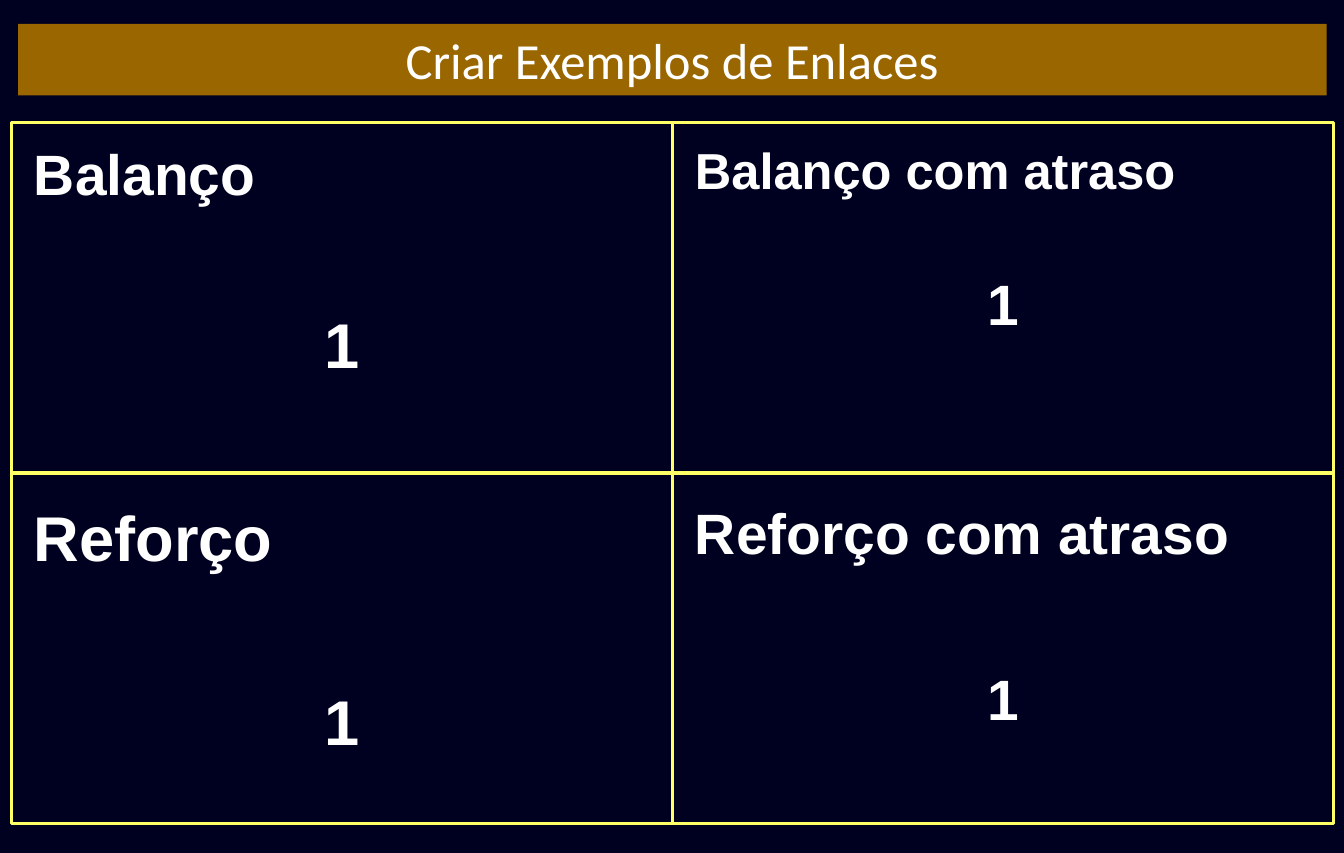
from dataclasses import dataclass

from pptx import Presentation
from pptx.dml.color import RGBColor
from pptx.enum.shapes import MSO_SHAPE
from pptx.enum.text import MSO_ANCHOR, MSO_AUTO_SIZE, PP_ALIGN
from pptx.util import Inches, Pt

RECTANGLE = MSO_SHAPE.RECTANGLE
TOP, MIDDLE = MSO_ANCHOR.TOP, MSO_ANCHOR.MIDDLE
NO_AUTOFIT = MSO_AUTO_SIZE.NONE
LEFT, CENTER = PP_ALIGN.LEFT, PP_ALIGN.CENTER
TITLE_ONLY = 5

SLIDE_WIDTH, SLIDE_HEIGHT = Pt(850.5), Pt(540)
GRID_LEFT, GRID_TOP = 0.1, 1.08
COLUMN, ROW = 5.81, 3.08
PADDING = 0.1
TEXT_TOPS = (1.17, 4.33)


@dataclass(frozen=True)
class Theme:
    background: RGBColor = RGBColor(0x00, 0x00, 0x20)
    banner: RGBColor = RGBColor(0x99, 0x66, 0x00)
    border: RGBColor = RGBColor(0xFF, 0xFF, 0x66)
    text: RGBColor = RGBColor(0xFF, 0xFF, 0xFF)
    title_font: str = "Calibri"
    body_font: str = "Arial"
    small: Pt = Pt(32)
    medium: Pt = Pt(36)
    large: Pt = Pt(40)
    border_width: Pt = Pt(2)


THEME = Theme()

# column, row, heading, heading size, number size, gap in points, height
QUADRANTS = [
    (1, 0, "Balanço com atraso", THEME.small, THEME.medium, 44, 1.84),
    (0, 0, "Balanço", THEME.medium, THEME.large, 62.5, 3.04),
    (1, 1, "Reforço com atraso", THEME.medium, THEME.medium, 61.5, 2.88),
    (0, 1, "Reforço", THEME.large, THEME.large, 68.5, 3.15),
]


def apply(target, values):
    for name, value in values.items():
        setattr(target, name, value)


def write(para, text, size, font=THEME.body_font, bold=True, align=LEFT, gap=0):
    apply(para, {"alignment": align, "space_before": Pt(gap)})
    span = para.add_run()
    span.text = text
    apply(span.font, {"name": font, "size": size, "bold": bold})
    span.font.color.rgb = THEME.text


def add_title(slide, text):
    title = slide.shapes.title
    apply(title, {
        "left": Inches(0.16), "top": Inches(0.21),
        "width": Inches(11.5), "height": Inches(0.63),
    })
    title.fill.solid()
    title.fill.fore_color.rgb = THEME.banner
    frame = title.text_frame
    apply(frame, {"vertical_anchor": MIDDLE, "auto_size": NO_AUTOFIT, "word_wrap": True})
    write(frame.paragraphs[0], text, THEME.small, THEME.title_font, False, CENTER)


def add_quadrant_text(slide, column, row, heading, heading_size, number_size, gap, height):
    box = slide.shapes.add_textbox(
        Inches(GRID_LEFT + column * COLUMN + PADDING), Inches(TEXT_TOPS[row]),
        Inches(COLUMN - 2 * PADDING), Inches(height))
    frame = box.text_frame
    apply(frame, {"word_wrap": True, "auto_size": NO_AUTOFIT, "vertical_anchor": TOP})
    write(frame.paragraphs[0], heading, heading_size)
    write(frame.add_paragraph(), "1", number_size, align=CENTER, gap=gap)


def add_frames(slide):
    group = slide.shapes.add_group_shape()
    for row in range(2):
        for column in range(2):
            frame = group.shapes.add_shape(
                RECTANGLE,
                Inches(GRID_LEFT + column * COLUMN), Inches(GRID_TOP + row * ROW),
                Inches(COLUMN), Inches(ROW))
            frame.shadow.inherit = False
            frame.fill.background()
            frame.line.color.rgb = THEME.border
            frame.line.width = THEME.border_width


def main():
    deck = Presentation()
    apply(deck, {"slide_width": SLIDE_WIDTH, "slide_height": SLIDE_HEIGHT})
    slide = deck.slides.add_slide(deck.slide_layouts[TITLE_ONLY])
    slide.background.fill.solid()
    slide.background.fill.fore_color.rgb = THEME.background
    add_title(slide, "Criar Exemplos de Enlaces")
    for quadrant in QUADRANTS:
        add_quadrant_text(slide, *quadrant)
    add_frames(slide)
    deck.save("out.pptx")


if __name__ == "__main__":
    main()
